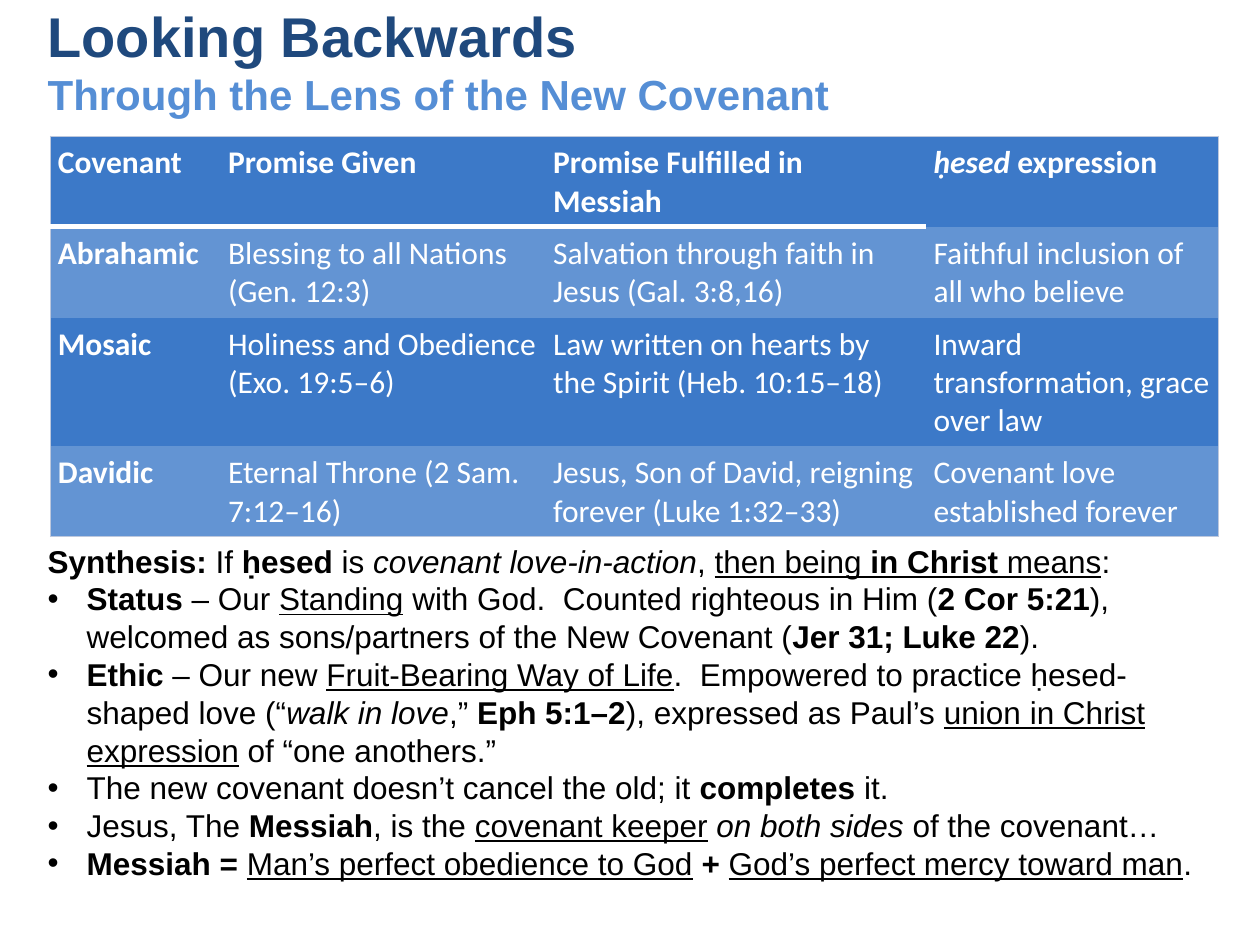
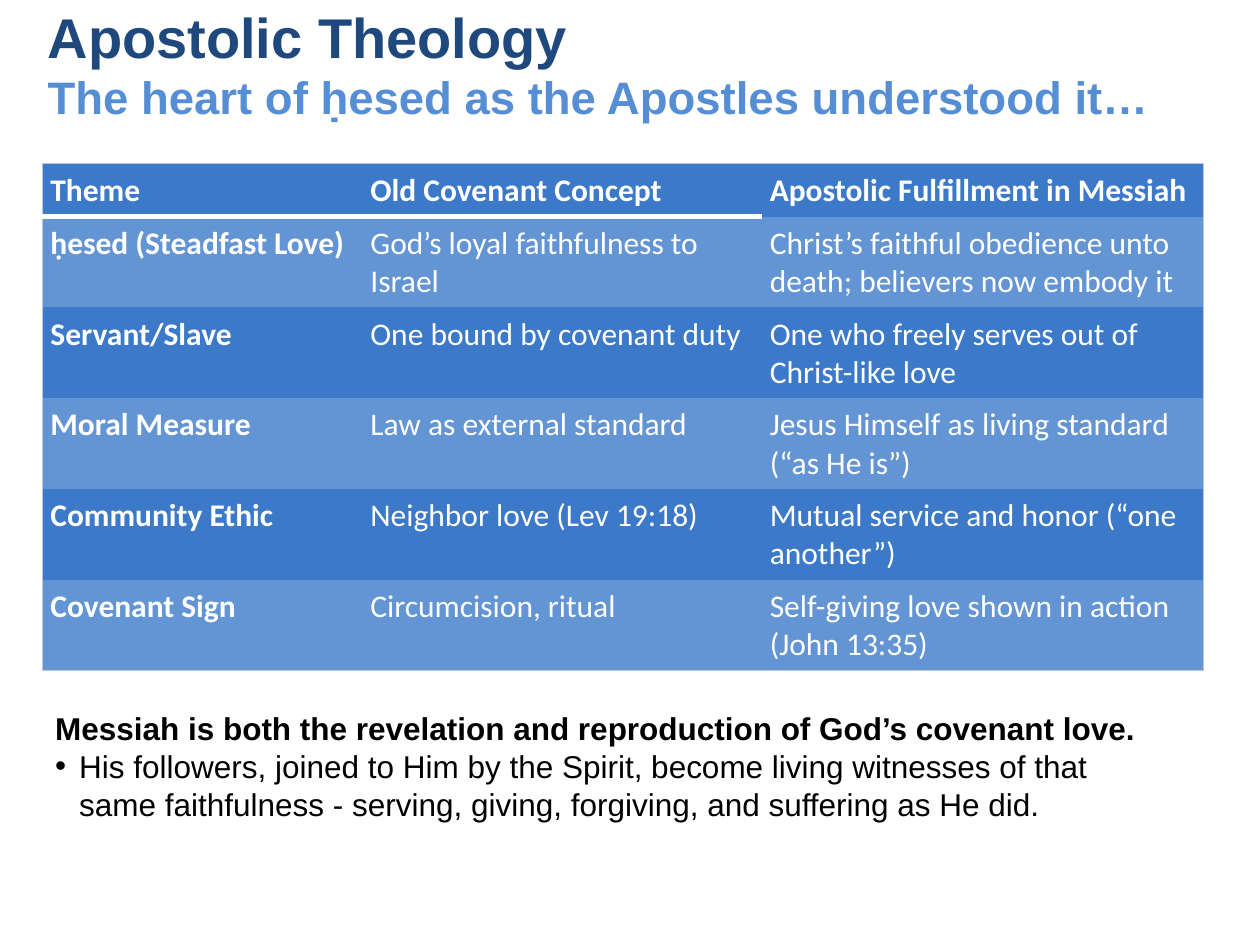
from dataclasses import dataclass

from lxml.etree import SubElement
from pptx import Presentation
from pptx.dml.color import RGBColor
from pptx.enum.text import MSO_ANCHOR, MSO_AUTO_SIZE
from pptx.oxml.ns import qn
from pptx.util import Inches, Pt


@dataclass(frozen=True)
class Theme:
    navy: str = "1F497D"
    sky: str = "558ED5"
    black: str = "000000"
    white: str = "FFFFFF"
    row: str = "3C79C8"
    band: str = "6394D3"
    edge: str = "BDC8DD"
    text_font: str = "Arial"
    table_font: str = "Calibri"
    title_size: int = 32
    body_size: int = 18
    row_height: float = 0.41
    cell_margin: float = 0.06
    plain_table: str = "{2D5ABB26-0587-4C30-8999-92F81FD0307C}"


T = Theme()


def write(p, runs, size=T.body_size, color=T.black, font=T.text_font, bold=False):
    for run in [runs] if isinstance(runs, str) else runs:
        text, style = (run, "") if isinstance(run, str) else run
        r = p.add_run()
        r.text = text
        r.font.name = font
        r.font.size = Pt(size)
        r.font.bold = bold or "b" in style
        r.font.italic = "i" in style
        r.font.underline = "u" in style
        r.font.color.rgb = RGBColor.from_string(color)


def add_box(s, box):
    tf = s.shapes.add_textbox(*map(Inches, box)).text_frame
    tf.word_wrap = True
    return tf


def add_title(s, box, title, subtitle, subtitle_size):
    tf = add_box(s, box)
    tf.vertical_anchor = MSO_ANCHOR.MIDDLE
    p = tf.paragraphs[0]
    write(p, title, size=T.title_size, color=T.navy, bold=True)
    p.add_line_break()
    write(p, subtitle, size=subtitle_size, color=T.sky, bold=True)


def set_bullet(p, indent):
    pPr = p._p.get_or_add_pPr()
    pPr.set("marL", str(Inches(indent)))
    pPr.set("indent", str(-Inches(indent)))
    SubElement(pPr, qn("a:buFont"), typeface=T.text_font)
    SubElement(pPr, qn("a:buChar"), char="•")


def add_summary(s, box, lead, bullets, indent):
    tf = add_box(s, box)
    tf.auto_size = MSO_AUTO_SIZE.SHAPE_TO_FIT_TEXT
    write(tf.paragraphs[0], lead)
    for runs in bullets:
        p = tf.add_paragraph()
        set_bullet(p, indent)
        write(p, runs)


def add_border(cell, side, color, width):
    ln = SubElement(cell._tc.get_or_add_tcPr(), qn(f"a:ln{side}"), w=str(Pt(width)))
    SubElement(SubElement(ln, qn("a:solidFill")), qn("a:srgbClr"), val=color)


def add_borders(cell, row, col, last_row, last_col):
    outer = {"L": col == 0, "R": col == last_col, "T": row == 0, "B": row == last_row}
    for side, on_edge in outer.items():
        if on_edge:
            add_border(cell, side, T.edge, 0.75)
        elif side == "B" and row == 0 and col < last_col:
            add_border(cell, side, T.white, 3)


def add_grid(s, left, top, widths, rows):
    table = s.shapes.add_table(
        len(rows), len(widths), Inches(left), Inches(top),
        Inches(sum(widths)), Inches(T.row_height * len(rows))).table
    table._tbl.tblPr.find(qn("a:tableStyleId")).text = T.plain_table
    for column, width in zip(table.columns, widths):
        column.width = Inches(width)
    for i, row in enumerate(rows):
        for j, runs in enumerate(row):
            cell = table.cell(i, j)
            cell.margin_left = cell.margin_right = Inches(T.cell_margin)
            cell.margin_top = cell.margin_bottom = Inches(T.cell_margin)
            add_borders(cell, i, j, len(rows) - 1, len(widths) - 1)
            cell.fill.solid()
            cell.fill.fore_color.rgb = RGBColor.from_string(T.band if i % 2 else T.row)
            write(cell.text_frame.paragraphs[0], runs, color=T.white,
                  font=T.table_font, bold=i == 0 or j == 0)


def build_looking_backwards(s):
    add_title(s, (0.28, -0.02, 9.17, 0.99), "Looking Backwards ",
              "Through the Lens of the New Covenant", 24)
    add_summary(
        s, (0.28, 4.25, 9.37, 2.83),
        [("Synthesis:", "b"), " If ", ("ḥesed", "b"), " is ",
         ("covenant love-in-action", "i"), ", ", ("then being ", "u"),
         ("in Christ", "bu"), (" means", "u"), ":"],
        [
            [("Status", "b"), " – Our ", ("Standing", "u"),
             " with God.  Counted righteous in Him (", ("2 Cor 5:21", "b"),
             "), welcomed as sons/partners of the New Covenant (",
             ("Jer 31; Luke 22", "b"), ")."],
            [("Ethic", "b"), " – Our new ", ("Fruit-Bearing Way of Life", "u"),
             ".  Empowered to practice ḥesed-shaped love (“", ("walk in love", "i"),
             ",” ", ("Eph 5:1–2", "b"), "), expressed as Paul’s ",
             ("union in Christ expression", "u"), " of “one anothers.”"],
            ["The new covenant doesn’t cancel the old; it ", ("completes", "b"), " it."],
            ["Jesus, The ", ("Messiah", "b"), ", is the ", ("covenant keeper", "u"),
             " ", ("on both sides", "i"), " of the covenant…"],
            [("Messiah = ", "b"), ("Man’s perfect obedience to God", "u"), " ",
             ("+ ", "b"), ("God’s perfect mercy toward man", "u"), "."],
        ], 0.31)
    add_grid(s, 0.4, 1.08, (1.35, 2.58, 3.02, 2.32), [
        ("Covenant", "Promise Given", "Promise Fulfilled in Messiah",
         [("ḥesed", "i"), " expression"]),
        ("Abrahamic", "Blessing to all Nations (Gen. 12:3)",
         "Salvation through faith in Jesus (Gal. 3:8,16)",
         "Faithful inclusion of all who believe"),
        ("Mosaic", "Holiness and Obedience (Exo. 19:5–6)",
         "Law written on hearts by the Spirit (Heb. 10:15–18)",
         "Inward transformation, grace over law"),
        ("Davidic", "Eternal Throne (2 Sam. 7:12–16)",
         "Jesus, Son of David, reigning forever (Luke 1:32–33)",
         "Covenant love established forever"),
    ])


def build_apostolic_theology(s):
    add_title(s, (0.28, 0, 9.17, 1), "Apostolic Theology",
              "The heart of ḥesed as the Apostles understood it…", 26)
    add_summary(
        s, (0.34, 5.58, 9.03, 1.01),
        [("Messiah is both the revelation and reproduction of God’s covenant love.", "b")],
        ["His followers, joined to Him by the Spirit, become living witnesses of that "
         "same faithfulness - serving, giving, forgiving, and suffering as He did."],
        0.19)
    add_grid(s, 0.34, 1.3, (2.54, 3.17, 3.5), [
        ("Theme", "Old Covenant Concept", "Apostolic Fulfillment in Messiah"),
        ("ḥesed (Steadfast Love)", "God’s loyal faithfulness to Israel",
         "Christ’s faithful obedience unto death; believers now embody it"),
        ("Servant/Slave", "One bound by covenant duty",
         "One who freely serves out of Christ-like love"),
        ("Moral Measure", "Law as external standard",
         "Jesus Himself as living standard (“as He is”)"),
        ("Community Ethic", "Neighbor love (Lev 19:18)",
         "Mutual service and honor (“one another”)"),
        ("Covenant Sign", "Circumcision, ritual",
         "Self-giving love shown in action (John 13:35)"),
    ])


def main():
    prs = Presentation()
    prs.slide_width, prs.slide_height = Inches(10), Inches(7.5)
    for build in (build_looking_backwards, build_apostolic_theology):
        build(prs.slides.add_slide(prs.slide_layouts[6]))
    prs.save("out.pptx")


if __name__ == "__main__":
    main()
